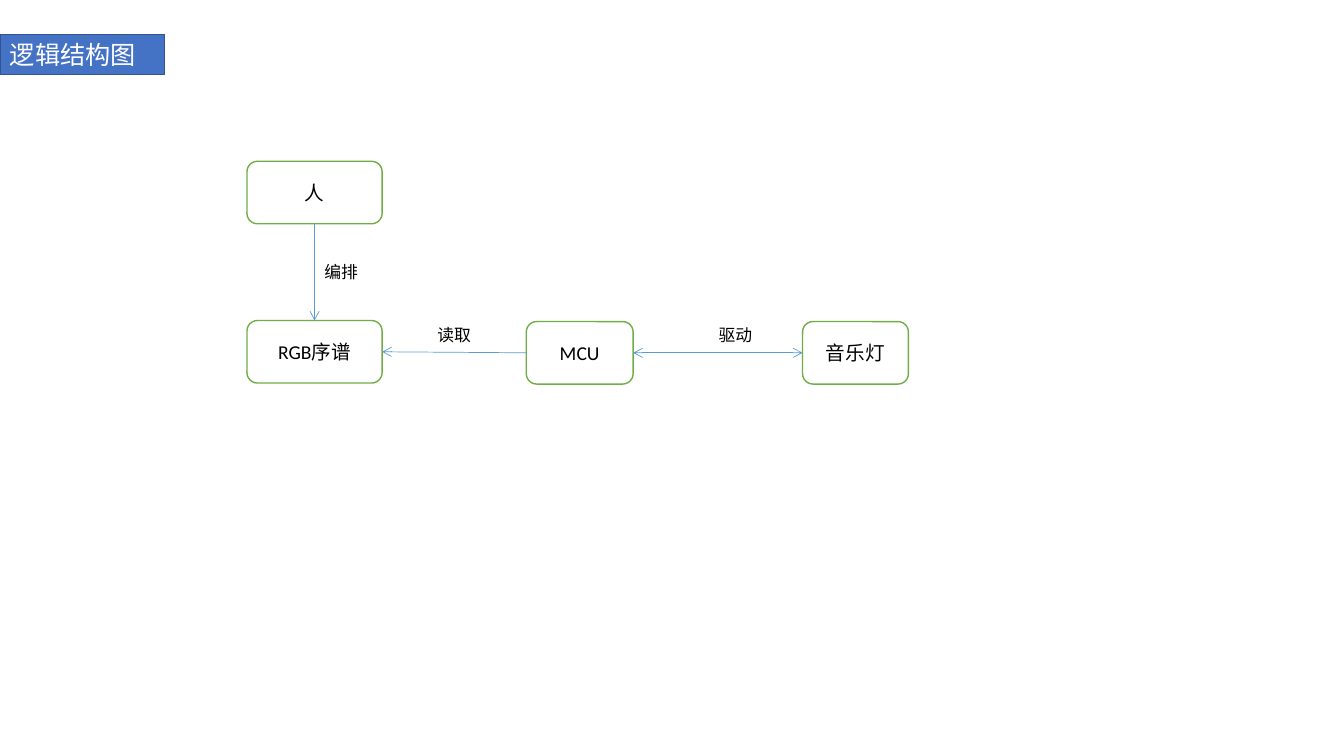
from lxml import etree
from pptx import Presentation
from pptx.dml.color import RGBColor
from pptx.enum.shapes import MSO_CONNECTOR, MSO_SHAPE
from pptx.enum.text import MSO_ANCHOR, MSO_AUTO_SIZE, PP_ALIGN
from pptx.oxml.ns import qn
from pptx.util import Inches, Pt

RECTANGLE, ROUNDED = MSO_SHAPE.RECTANGLE, MSO_SHAPE.ROUNDED_RECTANGLE
STRAIGHT = MSO_CONNECTOR.STRAIGHT
TOP, MIDDLE = MSO_ANCHOR.TOP, MSO_ANCHOR.MIDDLE
LEFT, CENTER = PP_ALIGN.LEFT, PP_ALIGN.CENTER
GROW = MSO_AUTO_SIZE.SHAPE_TO_FIT_TEXT

WHITE = RGBColor(0xFF, 0xFF, 0xFF)
BLACK = RGBColor(0x00, 0x00, 0x00)
GREEN = RGBColor(0x70, 0xAD, 0x47)
SKY = RGBColor(0x5B, 0x9B, 0xD5)
BLUE = RGBColor(0x44, 0x72, 0xC4)
NAVY = RGBColor(0x32, 0x54, 0x91)

FONT = "Calibri"

# Grid in inches: each column is (left, width), each row is its top
SCORE_COLUMN, MCU_COLUMN, LAMP_COLUMN = (2.45, 1.34), (5.22, 1.06), (7.96, 1.05)
PERSON_ROW, SCORE_ROW, DEVICE_ROW = 1.6, 3.18, 3.19
NODE_HEIGHT = 0.62
LABEL_WIDTH, LABEL_HEIGHT = 0.53, 0.3
LABEL_ROW = 3.17

# Connection sites of a rounded rectangle
SITE_TOP, SITE_LEFT, SITE_BOTTOM, SITE_RIGHT = range(4)


def write_text(shape, text, size, color=BLACK, align=LEFT, anchor=TOP,
               wrap=True, grow=False):
    frame = shape.text_frame
    frame.word_wrap = wrap
    frame.vertical_anchor = anchor
    if grow:
        frame.auto_size = GROW
    para = frame.paragraphs[0]
    para.alignment = align
    span = para.add_run()
    span.text = text
    span.font.name = FONT
    span.font.size = Pt(size)
    span.font.color.rgb = color


def add_box(slide, kind, area, fill, outline):
    box = slide.shapes.add_shape(kind, *map(Inches, area))
    box.shadow.inherit = False
    box.fill.solid()
    box.fill.fore_color.rgb = fill
    box.line.color.rgb = outline
    box.line.width = Pt(1)
    return box


def add_title(slide, text):
    box = add_box(slide, RECTANGLE, (0, 0.34, 1.63, 0.4), BLUE, NAVY)
    write_text(box, text, 18, color=WHITE, grow=True)


def add_node(slide, text, column, row):
    left, width = column
    box = add_box(slide, ROUNDED, (left, row, width, NODE_HEIGHT), WHITE, GREEN)
    write_text(box, text, 14, align=CENTER, anchor=MIDDLE)
    return box


def add_arrow(slide, start, start_site, end, end_site, both_ways=False):
    """Join two nodes, with an open arrowhead at the end or at both ends."""
    arrow = slide.shapes.add_connector(STRAIGHT, 0, 0, 0, 0)
    arrow.begin_connect(start, start_site)
    arrow.end_connect(end, end_site)
    arrow.line.color.rgb = SKY
    arrow.line.width = Pt(0.5)
    properties = arrow._element.spPr
    outline = properties.find(qn("a:ln"))
    for tag in ("a:headEnd", "a:tailEnd") if both_ways else ("a:tailEnd",):
        etree.SubElement(outline, qn(tag), type="arrow")
    etree.SubElement(properties, qn("a:effectLst"))


def add_label(slide, text, left, top):
    area = (left, top, LABEL_WIDTH, LABEL_HEIGHT)
    box = slide.shapes.add_textbox(*map(Inches, area))
    write_text(box, text, 12, wrap=False, grow=True)


def main():
    deck = Presentation()
    deck.slide_width, deck.slide_height = Inches(13.33), Inches(7.5)
    slide = deck.slides.add_slide(deck.slide_layouts[6])

    add_title(slide, "逻辑结构图")

    person = add_node(slide, "人", SCORE_COLUMN, PERSON_ROW)
    score = add_node(slide, "RGB序谱", SCORE_COLUMN, SCORE_ROW)
    mcu = add_node(slide, "MCU", MCU_COLUMN, DEVICE_ROW)
    lamp = add_node(slide, "音乐灯", LAMP_COLUMN, DEVICE_ROW)

    add_arrow(slide, person, SITE_BOTTOM, score, SITE_TOP)
    add_arrow(slide, mcu, SITE_LEFT, score, SITE_RIGHT)
    add_arrow(slide, mcu, SITE_RIGHT, lamp, SITE_LEFT, both_ways=True)

    add_label(slide, "编排", SCORE_COLUMN[0] + SCORE_COLUMN[1] / 2, 2.55)
    add_label(slide, "读取", 4.24, LABEL_ROW)
    add_label(slide, "驱动", 7.03, LABEL_ROW)

    deck.save("out.pptx")


if __name__ == "__main__":
    main()
